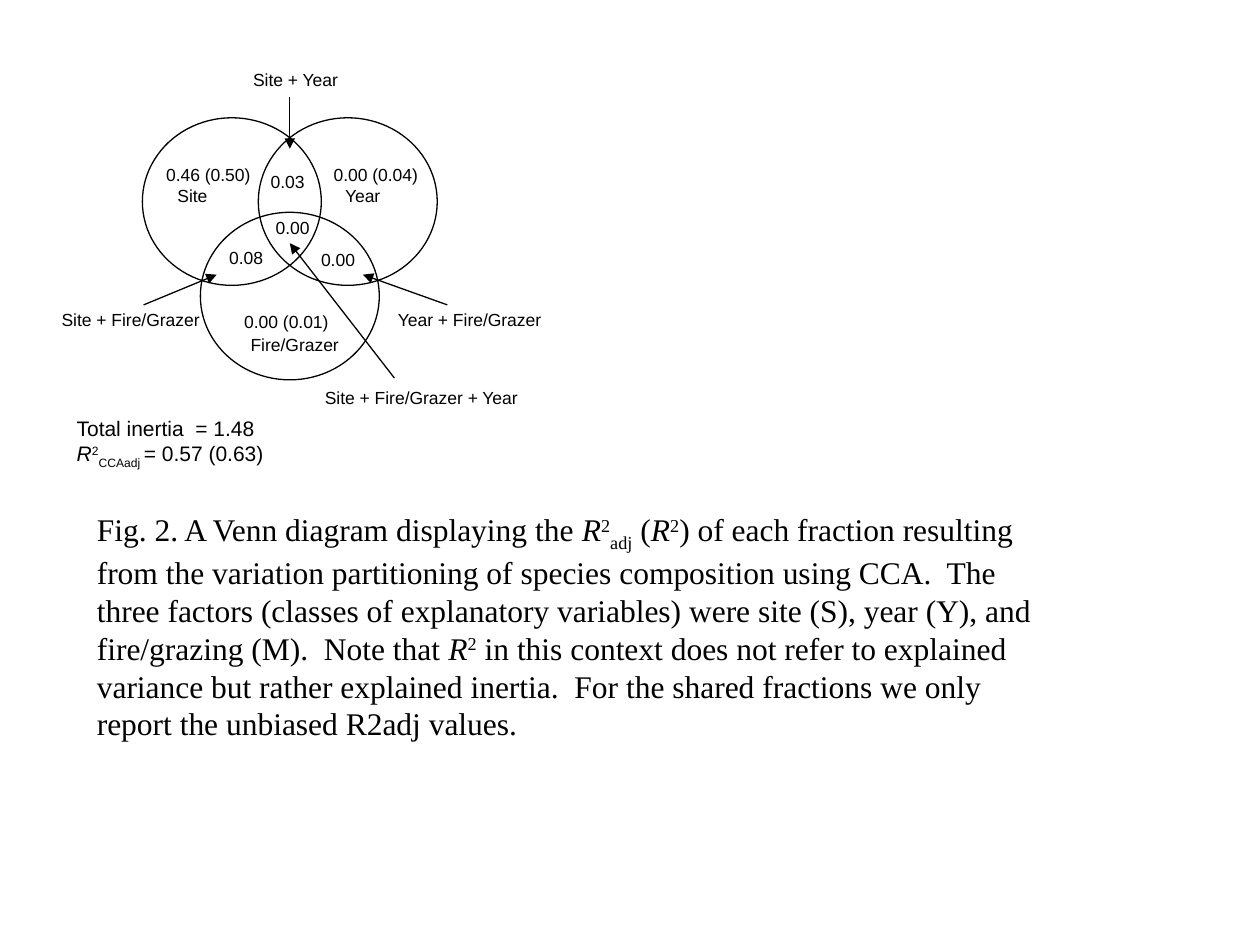
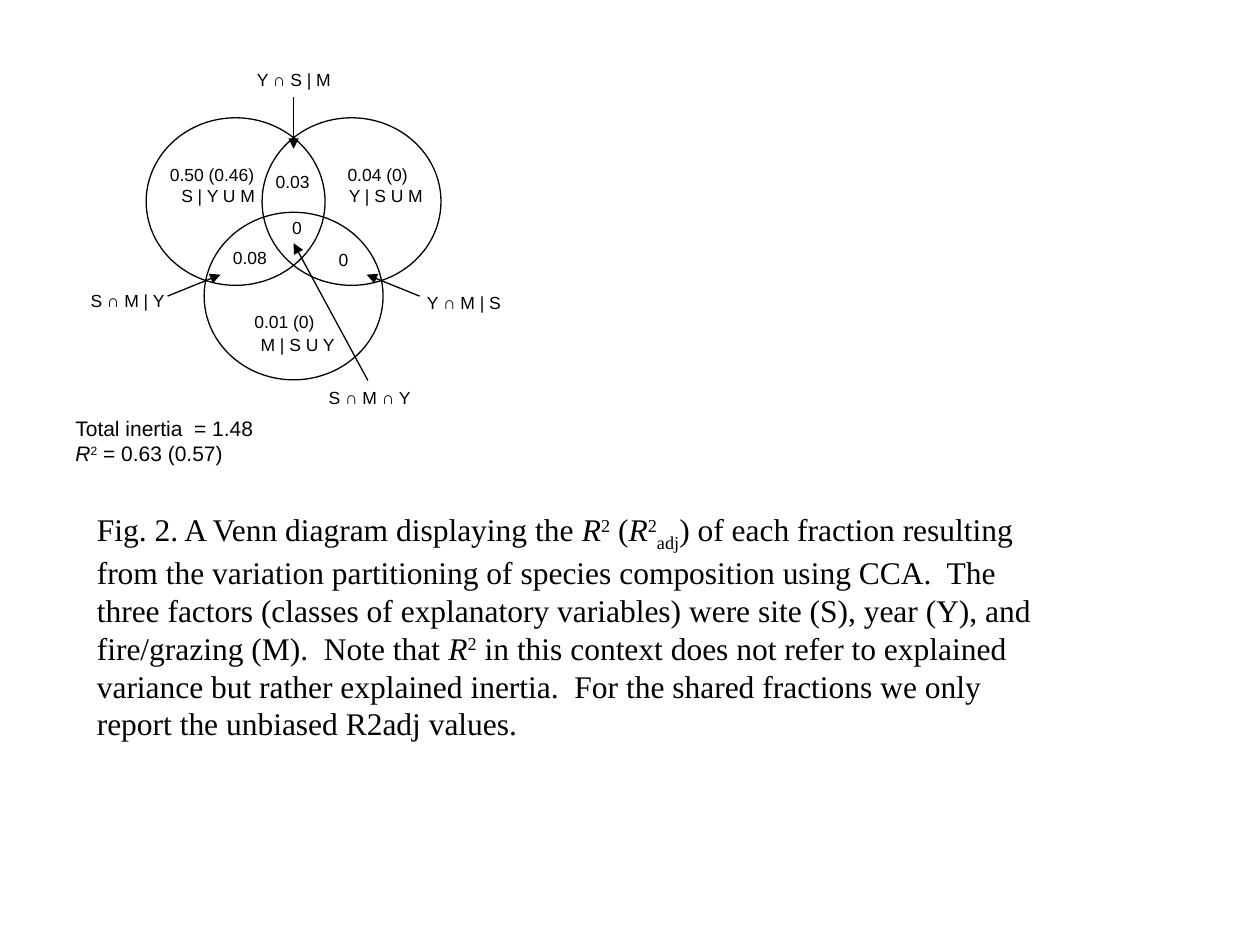
from dataclasses import dataclass
from typing import NamedTuple

from lxml.etree import SubElement
from pptx import Presentation
from pptx.dml.color import RGBColor
from pptx.enum.shapes import MSO_CONNECTOR, MSO_SHAPE
from pptx.enum.text import MSO_AUTO_SIZE
from pptx.oxml.ns import qn
from pptx.shapes.shapetree import GroupShapes
from pptx.util import Inches, Pt

BLACK = "000000"
LINE_WIDTH = 0.75
CIRCLE_W, CIRCLE_H = 1.42, 1.33
CIRCLE_CENTRES = ((0.46, 1.6), (0, 2.35), (-0.46, 1.6))
ARROW_TIPS = ((0, 1.18), (-0.58, 2.18), (0.58, 2.18), (0, 1.93))


class Run(NamedTuple):
    """A piece of text with its slant and baseline shift in percent."""
    text: str
    italic: bool = False
    shift: int = 0


class Label(NamedTuple):
    """A diagram label, placed from the diagram's vertical axis."""
    text: str
    dx: float
    top: float
    width: float


@dataclass
class Venn:
    """The content of one slide: labels, arrow starts, totals and caption."""
    axis: float
    labels: list[Label]
    arrow_starts: list[tuple[float, float]]
    total_left: float
    total_width: float
    total: list[Run]
    measure: list[Run]


R = Run("R", italic=True)
SQUARED = Run("2", shift=30)
ADJ = Run("adj", shift=-25)
OPEN = Run(" (")
CAPTION_START = Run("Fig. 2. A Venn diagram displaying the ")
CAPTION_END = [
    Run(") of each fraction resulting from the variation partitioning of species "
        "composition using CCA.  The three factors (classes of explanatory variables) "
        "were site (S), year (Y), and fire/grazing (M).  Note that "),
    R, SQUARED,
    Run(" in this context does not refer to explained variance but rather explained "
        "inertia.  For the shared fractions we only report the unbiased R2adj values."),
]

VENNS = [
    Venn(
        axis=2.3,
        labels=[
            Label("Site", -0.99, 1.42, 0.44),
            Label("Fire/Grazer", -0.41, 2.6, 0.92),
            Label("Year", 0.34, 1.42, 0.49),
            Label("0.00 (0.01)", -0.46, 2.42, 0.9),
            Label("0.46 (0.50)", -1.08, 1.25, 0.9),
            Label("0.00 (0.04)", 0.25, 1.25, 0.9),
            Label("Site + Fire/Grazer", -1.91, 2.4, 1.35),
            Label("Year + Fire/Grazer", 0.76, 2.4, 1.4),
            Label("Site + Year", -0.39, 0.5, 0.92),
            Label("0.00", 0.15, 1.93, 0.47),
            Label("0.03", -0.25, 1.31, 0.47),
            Label("0.08", -0.58, 1.91, 0.47),
            Label("0.00", -0.21, 1.67, 0.47),
            Label("Site + Fire/Grazer + Year", 0.18, 3.02, 1.8),
        ],
        arrow_starts=[(0, 0.77), (-1.16, 2.42), (1.25, 2.42), (0.83, 3)],
        total_left=0.51,
        total_width=1.75,
        total=[R, SQUARED, Run("CCAadj ", shift=-25), Run("= 0.57 (0.63)")],
        measure=[R, SQUARED, ADJ, OPEN, R, SQUARED],
    ),
    Venn(
        axis=2.33,
        labels=[
            Label("S | Y U M", -0.99, 1.42, 0.82),
            Label("M | S U Y", -0.36, 2.6, 0.82),
            Label("Y | S U M", 0.34, 1.42, 0.82),
            Label("0.01 (0)", -0.41, 2.42, 0.72),
            Label("0.50 (0.46)", -1.08, 1.25, 0.9),
            Label("0.04 (0)", 0.33, 1.25, 0.72),
            Label("S ∩ M | Y", -1.71, 2.25, 0.82),
            Label("Y ∩ M | S", 0.96, 2.27, 0.82),
            Label("Y ∩ S | M", -0.39, 0.5, 0.82),
            Label("0", 0.26, 1.93, 0.27),
            Label("0.03", -0.24, 1.31, 0.47),
            Label("0.08", -0.58, 1.91, 0.47),
            Label("0", -0.11, 1.67, 0.27),
            Label("S ∩ M ∩ Y", 0.18, 3.02, 0.9),
        ],
        arrow_starts=[(0, 0.77), (-1, 2.35), (1, 2.35), (0.59, 3.02)],
        total_left=0.5,
        total_width=1.68,
        total=[R, SQUARED, Run(" = 0.63 (0.57)")],
        measure=[R, SQUARED, OPEN, R, SQUARED, ADJ],
    ),
]


def rgb(value: str) -> RGBColor:
    """Return the colour for a hex string."""
    return RGBColor.from_string(value)


def add_text(shapes: GroupShapes, paragraphs: list[list[Run]], left: float, top: float,
             width: float, height: float, *, size: float = 10, font: str = "Arial",
             color: str = BLACK, wrap: bool = False) -> None:
    """Add a text box with one paragraph for each list of runs."""
    tf = shapes.add_textbox(Inches(left), Inches(top), Inches(width), Inches(height)).text_frame
    tf.word_wrap = wrap
    tf.auto_size = MSO_AUTO_SIZE.SHAPE_TO_FIT_TEXT
    for i, runs in enumerate(paragraphs):
        p = tf.add_paragraph() if i else tf.paragraphs[0]
        for run in runs:
            r = p.add_run()
            r.text = run.text
            r.font.name = font
            r.font.size = Pt(size)
            r.font.italic = run.italic
            r.font.color.rgb = rgb(color)
            if run.shift:
                r.font._element.set("baseline", str(run.shift * 1000))


def add_circle(shapes: GroupShapes, x: float, y: float) -> None:
    """Add an unfilled circle centred on a point."""
    sp = shapes.add_shape(MSO_SHAPE.OVAL, Inches(x - CIRCLE_W / 2), Inches(y - CIRCLE_H / 2),
                          Inches(CIRCLE_W), Inches(CIRCLE_H))
    sp.shadow.inherit = False
    sp.fill.background()
    sp.line.color.rgb = rgb(BLACK)
    sp.line.width = Pt(LINE_WIDTH)


def add_arrow(shapes: GroupShapes, x1: float, y1: float, x2: float, y2: float) -> None:
    """Add a straight line with an arrowhead at its end."""
    c = shapes.add_connector(MSO_CONNECTOR.STRAIGHT, Inches(x1), Inches(y1),
                             Inches(x2), Inches(y2))
    c.line.color.rgb = rgb(BLACK)
    c.line.width = Pt(LINE_WIDTH)
    SubElement(c.line._get_or_add_ln(), qn("a:tailEnd"), type="triangle")
    SubElement(c._element.spPr, qn("a:effectLst"))


def add_venn_slide(prs: Presentation, venn: Venn) -> None:
    """Add a slide with a Venn diagram, its totals and its caption."""
    s = prs.slides.add_slide(prs.slide_layouts[6])
    shapes = s.shapes.add_group_shape().shapes
    for dx, y in CIRCLE_CENTRES:
        add_circle(shapes, venn.axis + dx, y)
    for label in venn.labels:
        add_text(shapes, [[Run(label.text)]], venn.axis + label.dx, label.top, label.width, 0.27)
    for (dx1, y1), (dx2, y2) in zip(venn.arrow_starts, ARROW_TIPS):
        add_arrow(shapes, venn.axis + dx1, y1, venn.axis + dx2, y2)
    add_text(shapes, [[Run("Total inertia  = 1.48")], venn.total],
             venn.total_left, 3.25, venn.total_width, 0.5, size=12)
    add_text(shapes, [[CAPTION_START, *venn.measure, *CAPTION_END]], 0.67, 4, 7.75, 1.94,
             size=18, font="Times New Roman", wrap=True)


def main() -> None:
    """Build and save the presentation."""
    prs = Presentation()
    prs.slide_width, prs.slide_height = Inches(10), Inches(7.5)
    for venn in VENNS:
        add_venn_slide(prs, venn)
    prs.save("out.pptx")


if __name__ == "__main__":
    main()
